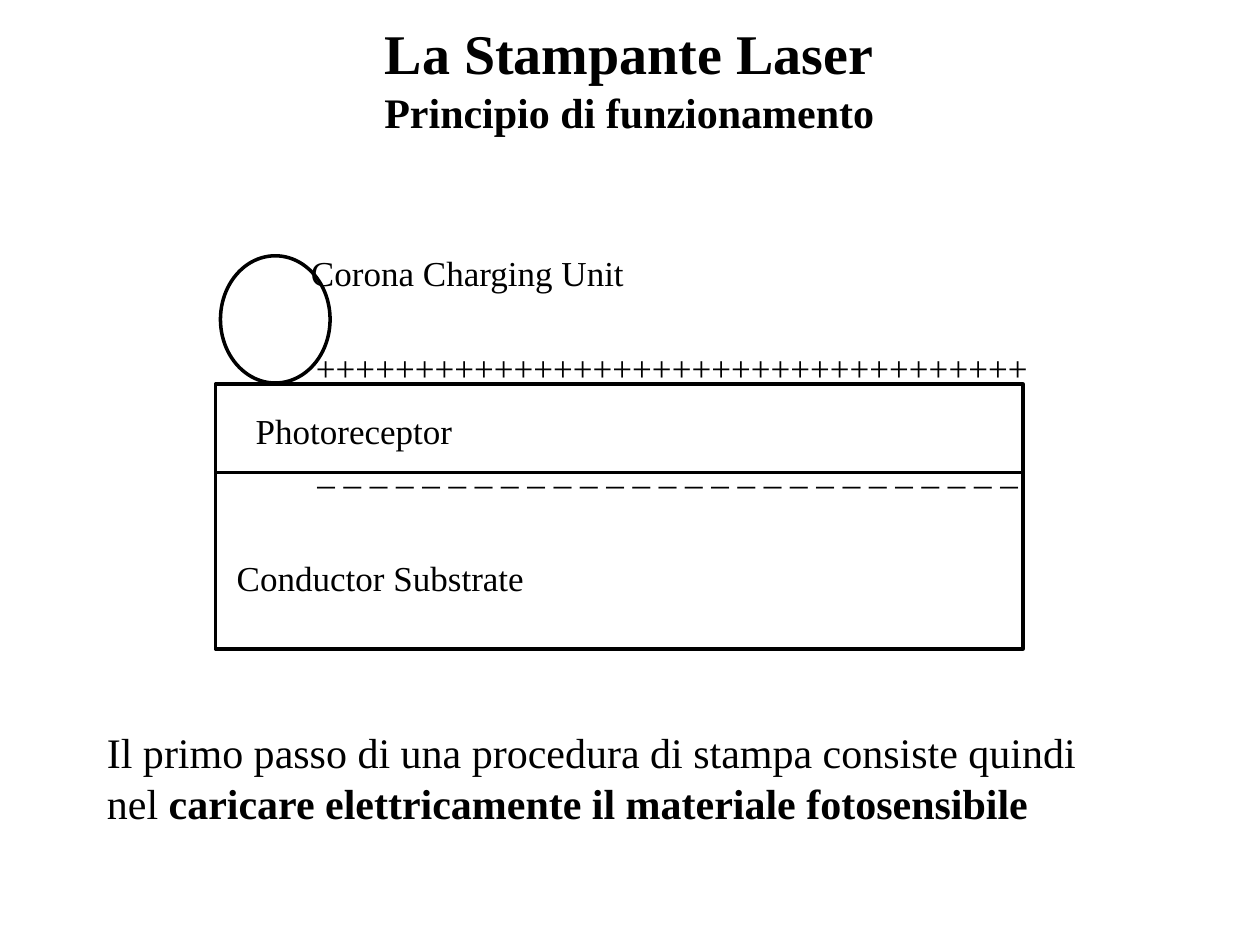
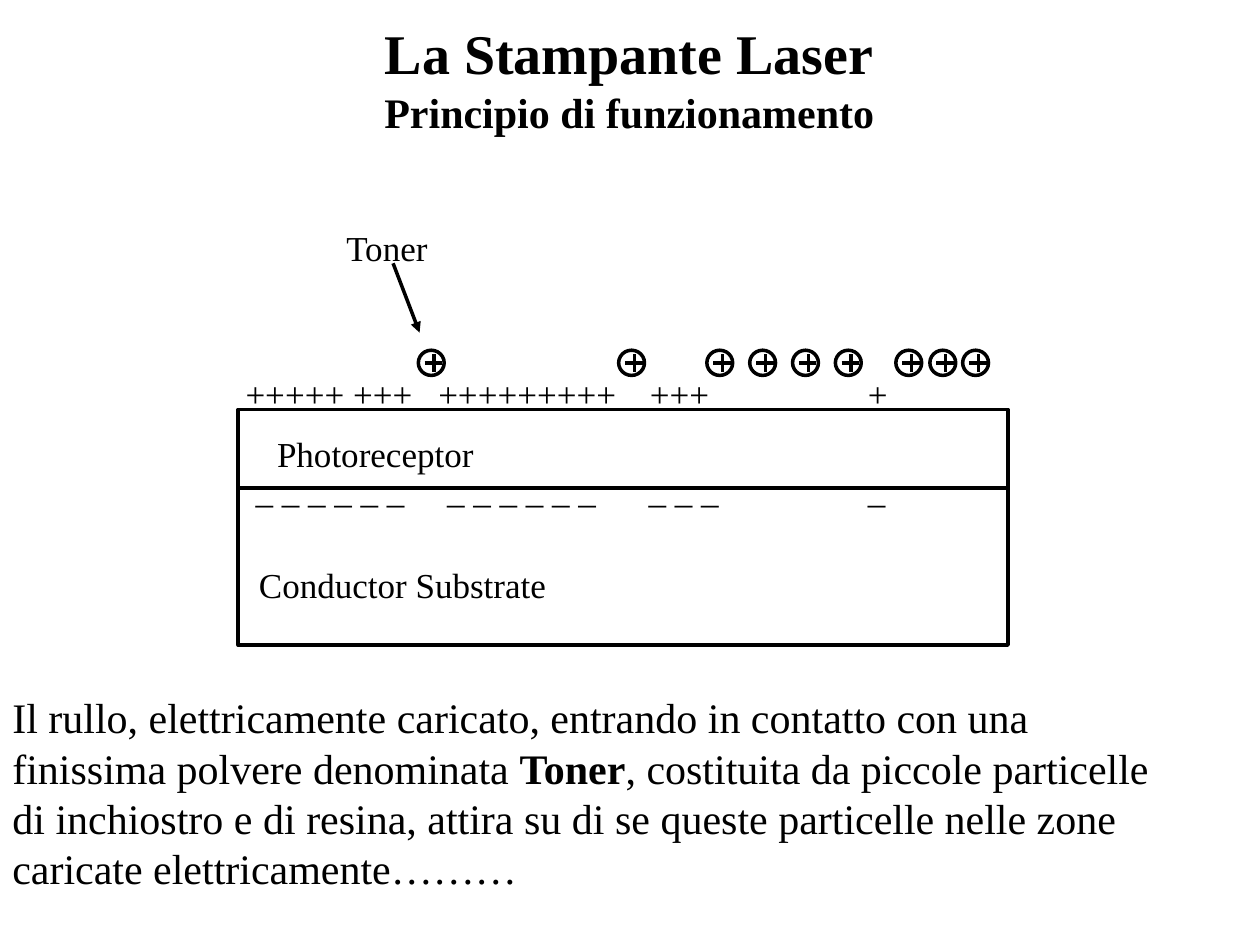
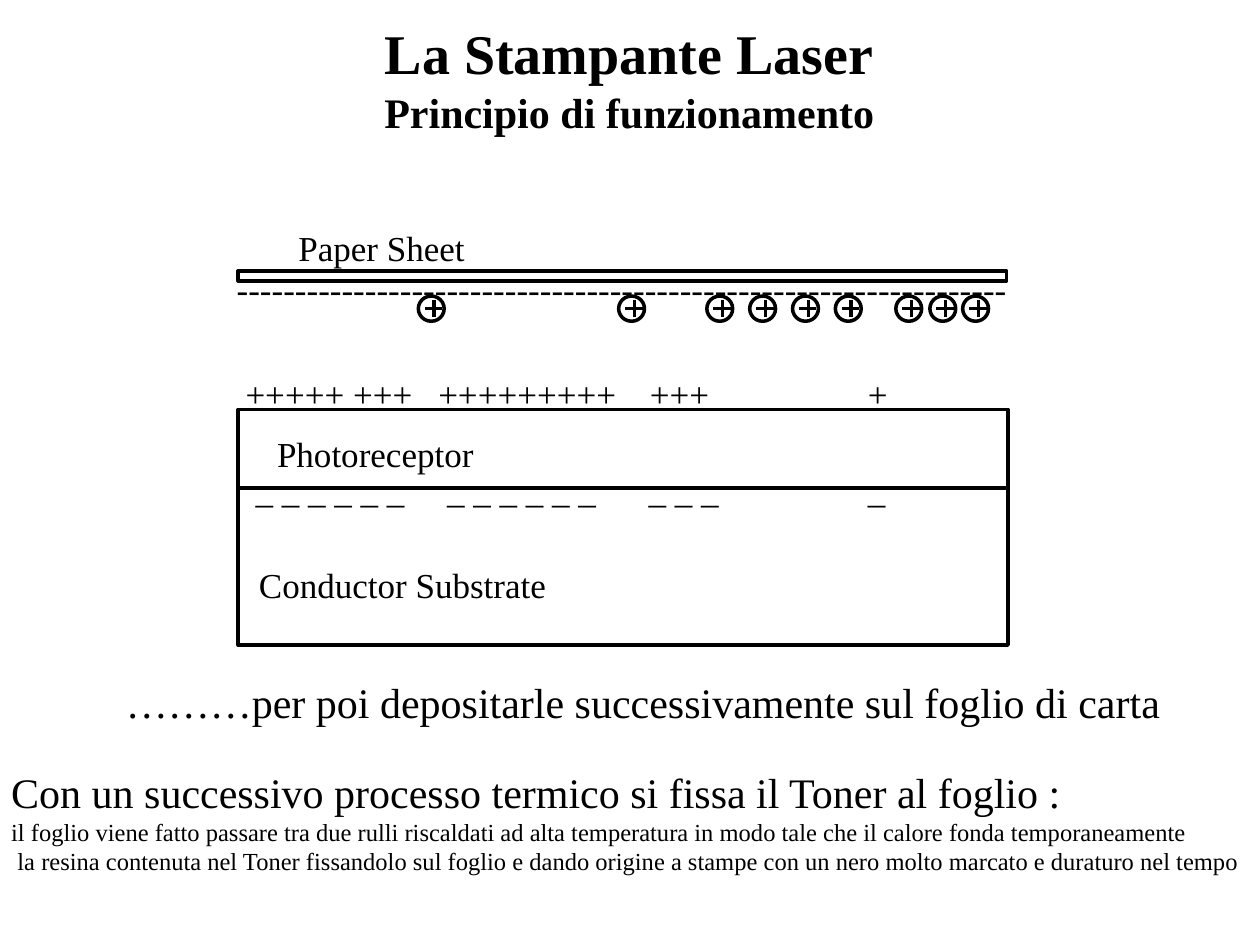
from dataclasses import dataclass

from lxml.etree import SubElement
from pptx import Presentation
from pptx.dml.color import RGBColor
from pptx.enum.shapes import MSO_CONNECTOR, MSO_SHAPE
from pptx.enum.text import MSO_ANCHOR, MSO_AUTO_SIZE, PP_ALIGN
from pptx.oxml.ns import qn
from pptx.util import Inches, Pt

COLORS = {"ink": "000000", "paper": "FFFFFF"}
FONT = "Times New Roman"
LABEL_SIZE, BODY_SIZE, NOTE_SIZE, TITLE_SIZE = 20, 24, 14, 32
LINE_WIDTH = 2

SLIDE_WIDTH, SLIDE_HEIGHT = 10, 7.5
COLUMN, ROW = SLIDE_WIDTH / 100, SLIDE_HEIGHT / 75

# Left edges of the toner particles, in slide columns
PARTICLE_COLUMNS = (33.2, 49.1, 56.1, 59.5, 62.9, 66.3, 71.1, 73.8, 76.4)
# Charges left after exposure, with the column where each later group starts
POSITIVE_GROUPS = ("+++++ +++", "+++++++++", "+++", "+")
POSITIVE_TABS = (15.3, 32.1, 49.4)
NEGATIVE_GROUPS = ("_ _ _ _ _ _", "_ _ _ _ _ _", "_ _ _", "_")
NEGATIVE_TABS = (15.2, 31.2, 48.6)


@dataclass
class Box:
    """An area measured in slide columns and rows."""
    left: float
    top: float
    width: float
    height: float

    def inner(self, left, top, width, height, columns, rows):
        """Area inside this box, given on its own grid of columns and rows."""
        across, down = self.width / columns, self.height / rows
        return Box(self.left + left * across, self.top + top * down,
                   width * across, height * down)

    def lengths(self):
        return (Inches(self.left * COLUMN), Inches(self.top * ROW),
                Inches(self.width * COLUMN), Inches(self.height * ROW))


TITLE_BOX = Box(28.7, 1, 42.5, 10.4)
CHARGING_DRUM = Box(17.1, 30.5, 64.1, 21)
TONER_DRUM = Box(18.9, 32.5, 61.1, 18.7)


def color(name):
    return RGBColor.from_string(COLORS[name])


def add_run(paragraph, text, size, bold=False):
    run = paragraph.add_run()
    run.text = text
    run.font.name = FONT
    run.font.size = Pt(size)
    run.font.bold = bold
    run.font.color.rgb = color("ink")


def add_text(slide, box, *pieces, size=LABEL_SIZE, anchor=MSO_ANCHOR.TOP, wrap=True):
    """Text box with one paragraph of (text, bold) pieces; returns its frame."""
    frame = slide.shapes.add_textbox(*box.lengths()).text_frame
    frame.word_wrap = wrap
    frame.vertical_anchor = anchor
    for text, bold in pieces:
        add_run(frame.paragraphs[0], text, size, bold)
    return frame


def add_label(slide, box, text):
    add_text(slide, box, (text, False))


def add_outline(slide, kind, box):
    shape = slide.shapes.add_shape(kind, *box.lengths())
    shape.shadow.inherit = False
    shape.fill.solid()
    shape.fill.fore_color.rgb = color("paper")
    shape.line.color.rgb = color("ink")
    shape.line.width = Pt(LINE_WIDTH)


def add_line(slide, start, end, arrow=False):
    connector = slide.shapes.add_connector(
        MSO_CONNECTOR.STRAIGHT,
        Inches(start[0] * COLUMN), Inches(start[1] * ROW),
        Inches(end[0] * COLUMN), Inches(end[1] * ROW))
    connector.line.color.rgb = color("ink")
    connector.line.width = Pt(LINE_WIDTH)
    properties = connector._element.spPr
    if arrow:
        SubElement(properties.find(qn("a:ln")), qn("a:tailEnd"), type="triangle")
    SubElement(properties, qn("a:effectLst"))


def add_titled_slide(presentation):
    slide = presentation.slides.add_slide(presentation.slide_layouts[5])
    title = slide.shapes.title
    title.left, title.top, title.width, title.height = TITLE_BOX.lengths()
    frame = title.text_frame
    frame.auto_size = MSO_AUTO_SIZE.NONE
    frame.vertical_anchor = MSO_ANCHOR.TOP
    heading, subtitle = frame.paragraphs[0], frame.add_paragraph()
    add_run(heading, "La Stampante Laser", TITLE_SIZE, True)
    add_run(subtitle, "Principio di funzionamento", BODY_SIZE, True)
    for paragraph in (heading, subtitle):
        paragraph.alignment = PP_ALIGN.CENTER
    return slide


def add_drum(slide, box):
    """Photoreceptor layer above a conductor substrate twice as thick."""
    grid = (64, 21)
    add_outline(slide, MSO_SHAPE.RECTANGLE, box.inner(0, 0, 64, 7, *grid))
    add_outline(slide, MSO_SHAPE.RECTANGLE, box.inner(0, 7, 64, 14, *grid))
    add_label(slide, box.inner(2.2, 1.5, 34, 4, *grid), "Photoreceptor")
    add_label(slide, box.inner(0.7, 13.2, 54, 6, *grid), "Conductor Substrate")


def add_charge_groups(slide, box, groups, tabs):
    frame = add_text(slide, box, ("\t".join(groups), False))
    tab_list = SubElement(frame.paragraphs[0]._p.get_or_add_pPr(), qn("a:tabLst"))
    for column in tabs:
        SubElement(tab_list, qn("a:tab"), pos=str(Inches(column * COLUMN)), algn="l")


def add_exposed_drum(slide, box):
    add_drum(slide, box)
    add_charge_groups(slide, Box(box.left - 0.4, box.top - 3.4, 62.8, 4.8),
                      POSITIVE_GROUPS, POSITIVE_TABS)
    add_charge_groups(slide, Box(box.left + 0.4, box.top + 4.2, 62.2, 4.8),
                      NEGATIVE_GROUPS, NEGATIVE_TABS)


def add_toner(slide, top):
    for left in PARTICLE_COLUMNS:
        add_outline(slide, MSO_SHAPE.OVAL, Box(left, top, 2.05, 2))
        add_line(slide, (left + 0.5, top + 1), (left + 1.9, top + 1))
        add_line(slide, (left + 1.25, top + 1.7), (left + 1.25, top + 0.3))


def add_paper_sheet(slide, box):
    add_outline(slide, MSO_SHAPE.RECTANGLE, box)
    add_label(slide, Box(box.left - 1.1, box.top - 0.8, 64.7, 4.4), "-" * 66)
    add_label(slide, Box(box.left + 3.8, box.top - 4, 17, 3.9), "Paper Sheet")


def build_charging_slide(presentation):
    slide = add_titled_slide(presentation)
    drum = CHARGING_DRUM
    add_drum(slide, drum)
    add_outline(slide, MSO_SHAPE.OVAL, Box(drum.left + 0.4, drum.top - 10.2, 8.7, 10.1))
    add_label(slide, Box(drum.left + 7, drum.top - 3.5, 60, 5.5), "+" * 36)
    add_label(slide, Box(drum.left + 6.6, drum.top - 11, 31.3, 4.7), "Corona Charging Unit")
    add_label(slide, Box(drum.left + 7.1, drum.top + 4.7, 60, 5.5), " ".join("_" * 27))
    add_text(slide, Box(7.5, 57.2, 80.2, 9),
             ("Il primo passo di una procedura di stampa consiste quindi nel ", False),
             ("caricare elettricamente il materiale fotosensibile", True),
             size=BODY_SIZE, anchor=MSO_ANCHOR.MIDDLE)


def build_toner_slide(presentation):
    slide = add_titled_slide(presentation)
    add_line(slide, (31.2, 20.9), (33.3, 26.4), arrow=True)
    add_label(slide, Box(26.5, 17.5, 10.2, 4.8), "Toner")
    add_exposed_drum(slide, TONER_DRUM)
    add_toner(slide, 27.8)
    add_text(slide, Box(0, 54.4, 94.4, 17),
             ("Il rullo, elettricamente caricato, entrando in contatto con una "
              "finissima polvere denominata ", False),
             ("Toner", True),
             (", costituita da piccole particelle di inchiostro e di resina, attira "
              "su di se queste particelle nelle zone caricate elettricamente………", False),
             size=BODY_SIZE, anchor=MSO_ANCHOR.MIDDLE)


def build_paper_slide(presentation):
    slide = add_titled_slide(presentation)
    add_paper_sheet(slide, Box(18.9, 21.5, 61, 0.8))
    add_exposed_drum(slide, TONER_DRUM)
    add_toner(slide, 23.5)
    add_text(slide, Box(9, 53.2, 84.9, 5),
             ("………per poi depositarle successivamente sul foglio di carta", False),
             size=BODY_SIZE, wrap=False)
    frame = add_text(slide, Box(-0.1, 60.3, 100.1, 9.7),
                     ("Con un successivo processo termico si fissa il Toner al foglio :", False),
                     size=BODY_SIZE, anchor=MSO_ANCHOR.MIDDLE, wrap=False)
    for text, indent in (
            ("il foglio viene fatto passare tra due rulli riscaldati ad alta temperatura "
             "in modo tale che il calore fonda temporaneamente", 0),
            ("la resina contenuta nel Toner fissandolo sul foglio e dando origine a stampe "
             "con un nero molto marcato e duraturo nel tempo", 0.5)):
        paragraph = frame.add_paragraph()
        paragraph._p.get_or_add_pPr().set("marL", str(Inches(indent * COLUMN)))
        add_run(paragraph, text, NOTE_SIZE)


def main():
    presentation = Presentation()
    presentation.slide_width = Inches(SLIDE_WIDTH)
    presentation.slide_height = Inches(SLIDE_HEIGHT)
    build_charging_slide(presentation)
    build_toner_slide(presentation)
    build_paper_slide(presentation)
    presentation.save("out.pptx")


if __name__ == "__main__":
    main()
